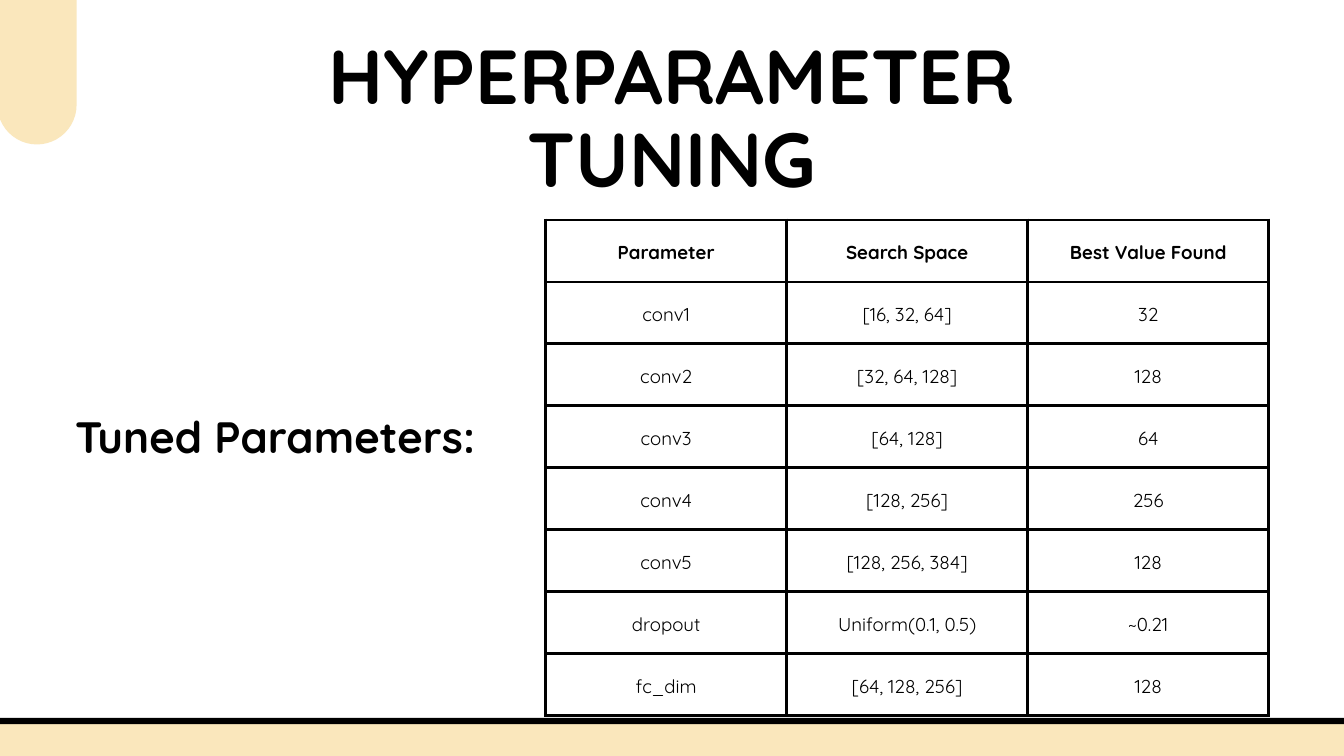
from lxml import etree
from pptx import Presentation
from pptx.dml.color import RGBColor
from pptx.enum.shapes import MSO_SHAPE
from pptx.enum.text import MSO_ANCHOR, PP_ALIGN
from pptx.oxml.ns import qn
from pptx.util import Inches, Pt

ROUNDED = MSO_SHAPE.ROUNDED_RECTANGLE
CENTER, LEFT = PP_ALIGN.CENTER, PP_ALIGN.LEFT
MIDDLE = MSO_ANCHOR.MIDDLE

FONT = "Quicksand"
BLACK, CREAM, WHITE = "000000", "FAE7BC", "FFFFFF"

PARAMETERS = [
    ("Parameter", "Search Space", "Best Value Found"),
    ("conv1", "[16, 32, 64]", "32"),
    ("conv2", "[32, 64, 128]", "128"),
    ("conv3", "[64, 128]", "64"),
    ("conv4", "[128, 256]", "256"),
    ("conv5", "[128, 256, 384]", "128"),
    ("dropout", "Uniform(0.1, 0.5)", "~0.21"),
    ("fc_dim", "[64, 128, 256]", "128"),
]


def color(hex_value):
    return RGBColor.from_string(hex_value)


def style_paragraph(paragraph, size, spacing, align, bold):
    paragraph.alignment = align
    paragraph.line_spacing = Pt(spacing)
    font = paragraph.font
    font.name, font.size, font.bold = FONT, Pt(size), bold
    font.color.rgb = color(BLACK)


def add_band(slide, box, radius, outline=None):
    """Cream rounded bar; radius is a share of the shorter side."""
    band = slide.shapes.add_shape(ROUNDED, *map(Inches, box))
    band.adjustments[0] = radius
    band.shadow.inherit = False
    band.fill.solid()
    band.fill.fore_color.rgb = color(CREAM)
    if outline:
        band.line.color.rgb = color(BLACK)
        band.line.width = Pt(outline)
    else:
        band.line.fill.background()


def add_heading(slide, box, text, size, spacing, align):
    frame = slide.shapes.add_textbox(*map(Inches, box)).text_frame
    frame.word_wrap = True
    frame.margin_left = frame.margin_right = 0
    frame.margin_top = frame.margin_bottom = 0
    frame.text = text
    style_paragraph(frame.paragraphs[0], size, spacing, align, True)


def add_borders(cell, width):
    properties = cell._tc.get_or_add_tcPr()
    for side in ("a:lnL", "a:lnR", "a:lnT", "a:lnB"):
        line = etree.SubElement(properties, qn(side), w=str(Pt(width)))
        fill = etree.SubElement(line, qn("a:solidFill"))
        etree.SubElement(fill, qn("a:srgbClr"), val=BLACK)


def add_parameter_table(slide, box, rows):
    left, top, width, height = map(Inches, box)
    table = slide.shapes.add_table(
        len(rows), len(rows[0]), left, top, width, height).table
    table.horz_banding = False
    for column in table.columns:
        column.width = width // len(rows[0])
    for r, values in enumerate(rows):
        table.rows[r].height = height // len(rows)
        for c, value in enumerate(values):
            cell = table.cell(r, c)
            cell.text = value
            cell.vertical_anchor = MIDDLE
            cell.margin_left = cell.margin_right = Inches(0.21)
            cell.margin_top = cell.margin_bottom = Inches(0.21)
            add_borders(cell, 3)
            cell.fill.background()
            style_paragraph(cell.text_frame.paragraphs[0], 20, 28, CENTER, r == 0)


def build_tuning_slide(presentation):
    slide = presentation.slides.add_slide(presentation.slide_layouts[6])
    slide.background.fill.solid()
    slide.background.fill.fore_color.rgb = color(WHITE)

    # Footer bar and corner tab, both running past the slide edges
    add_band(slide, (-0.87, 10.73, 21.16, 0.9), 0.09, outline=6.75)
    add_band(slide, (-0.04, -1.08, 1.18, 3.23), 0.5)

    # Search spaces and results
    add_parameter_table(slide, (8.12, 3.27, 10.76, 7.38), PARAMETERS)

    # Title and table label
    add_heading(slide, (3.52, 0.56, 12.96, 2.47), "HYPERPARAMETER TUNING",
                81.9, 88.5, CENTER)
    add_heading(slide, (1.12, 5.96, 14, 0.87), "Tuned Parameters:",
                47, 65.8, LEFT)


def main():
    presentation = Presentation()
    presentation.slide_width = Inches(20)
    presentation.slide_height = Inches(11.25)
    build_tuning_slide(presentation)
    presentation.save("out.pptx")


if __name__ == "__main__":
    main()
